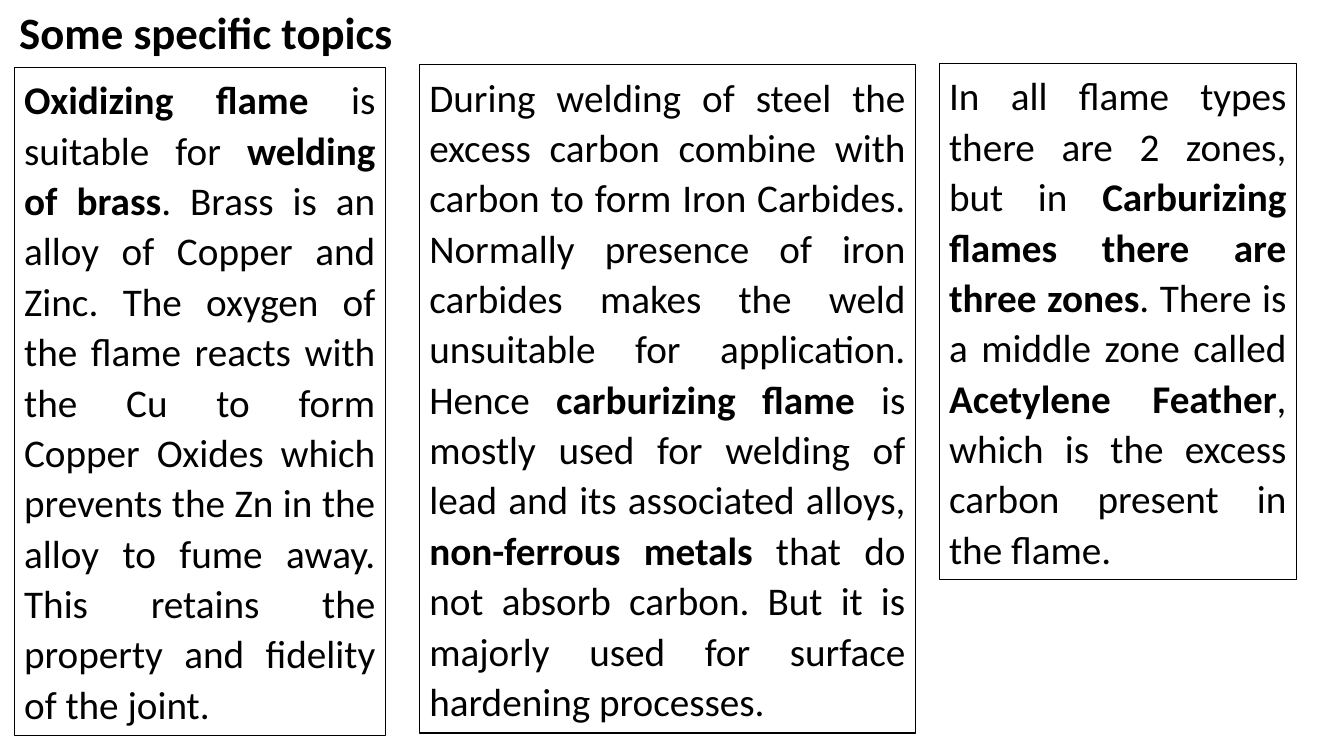
from pptx import Presentation
from pptx.dml.color import RGBColor
from pptx.enum.shapes import MSO_SHAPE
from pptx.enum.text import MSO_ANCHOR, MSO_AUTO_SIZE, PP_ALIGN
from pptx.util import Cm, Pt

RECTANGLE = MSO_SHAPE.RECTANGLE
TOP = MSO_ANCHOR.TOP
GROW = MSO_AUTO_SIZE.SHAPE_TO_FIT_TEXT
LEFT, JUSTIFY = PP_ALIGN.LEFT, PP_ALIGN.JUSTIFY
TITLE_ONLY = 5
BLACK, WHITE = "000000", "FFFFFF"

FRAME = {"word_wrap": True, "auto_size": GROW, "vertical_anchor": TOP}
BODY = {"alignment": JUSTIFY, "line_spacing": 1.07, "space_after": Pt(8)}

# Each panel: (left, top, width, height) in cm, then (text, bold) runs.
PANELS = [
    ((0.36, 1.7, 9.35, 16.84), [
        ("Oxidizing flame ", True),
        ("is suitable for ", False),
        ("welding of brass", True),
        (". Brass is an alloy of Copper and Zinc. The oxygen of the flame "
         "reacts with the Cu to form Copper Oxides which prevents the Zn in "
         "the alloy to fume away. This retains the property and fidelity of "
         "the joint.", False),
    ]),
    ((10.57, 1.63, 12.5, 16.84), [
        ("During welding of steel the excess carbon combine with carbon to "
         "form Iron Carbides. Normally presence of iron carbides makes the "
         "weld unsuitable for application. Hence ", False),
        ("carburizing flame ", True),
        ("is mostly used for welding of lead and its associated alloys, ",
         False),
        ("non-ferrous metals ", True),
        ("that do not absorb carbon. But it is majorly used for surface "
         "hardening processes.", False),
    ]),
    ((23.67, 1.6, 9, 13), [
        ("In all flame types there are 2 zones, but in ", False),
        ("Carburizing flames there are three zones", True),
        (". There is a middle zone called ", False),
        ("Acetylene Feather", True),
        (", which is the excess carbon present in the flame.", False),
    ]),
]


def rgb(value):
    return RGBColor.from_string(value)


def apply(target, values):
    for name, value in values.items():
        setattr(target, name, value)


def write(sp, runs, size, paragraph_format):
    """Fill the shape with one paragraph of (text, bold) runs."""
    tf = sp.text_frame
    apply(tf, FRAME)
    p = tf.paragraphs[0]
    apply(p, paragraph_format)
    for text, bold in runs:
        r = p.add_run()
        r.text = text
        apply(r.font, {"name": "Calibri", "size": Pt(size), "bold": bold})
        r.font.color.rgb = rgb(BLACK)


def set_title(s, box, text):
    sp = s.shapes.title
    apply(sp, dict(zip(("left", "top", "width", "height"), map(Cm, box))))
    write(sp, [(text, True)], 32, {"alignment": LEFT})


def add_panel(s, box, runs):
    sp = s.shapes.add_shape(RECTANGLE, *map(Cm, box))
    sp.shadow.inherit = False
    sp.fill.solid()
    sp.fill.fore_color.rgb = rgb(WHITE)
    sp.line.color.rgb = rgb(BLACK)
    sp.line.width = Pt(1)
    write(sp, runs, 28, BODY)


def main():
    prs = Presentation()
    apply(prs, {"slide_width": Cm(33.87), "slide_height": Cm(19.05)})
    s = prs.slides.add_slide(prs.slide_layouts[TITLE_ONLY])
    set_title(s, (0.23, 0, 10.85, 1.63), "Some specific topics")
    for box, runs in PANELS:
        add_panel(s, box, runs)
    prs.save("out.pptx")


if __name__ == "__main__":
    main()
